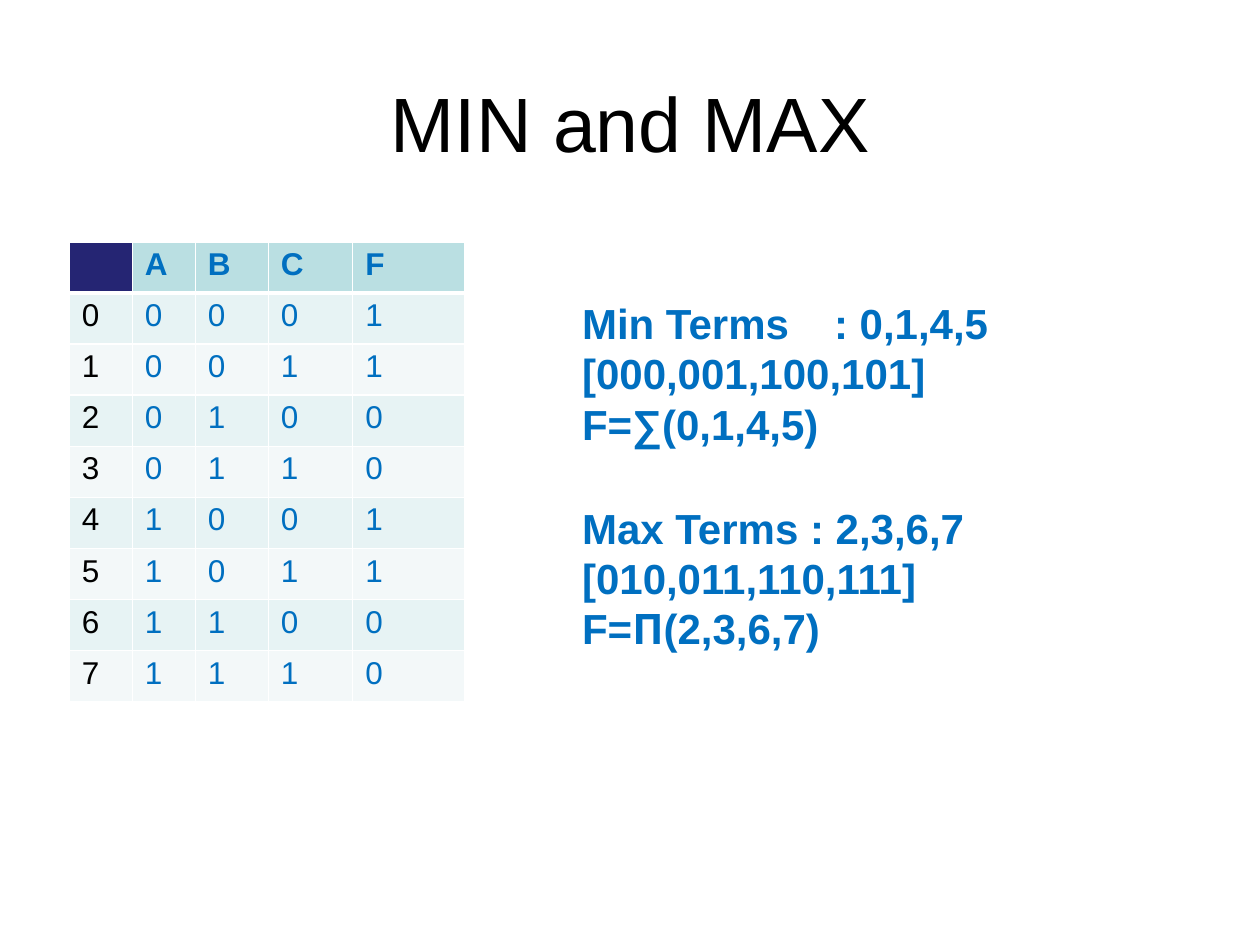
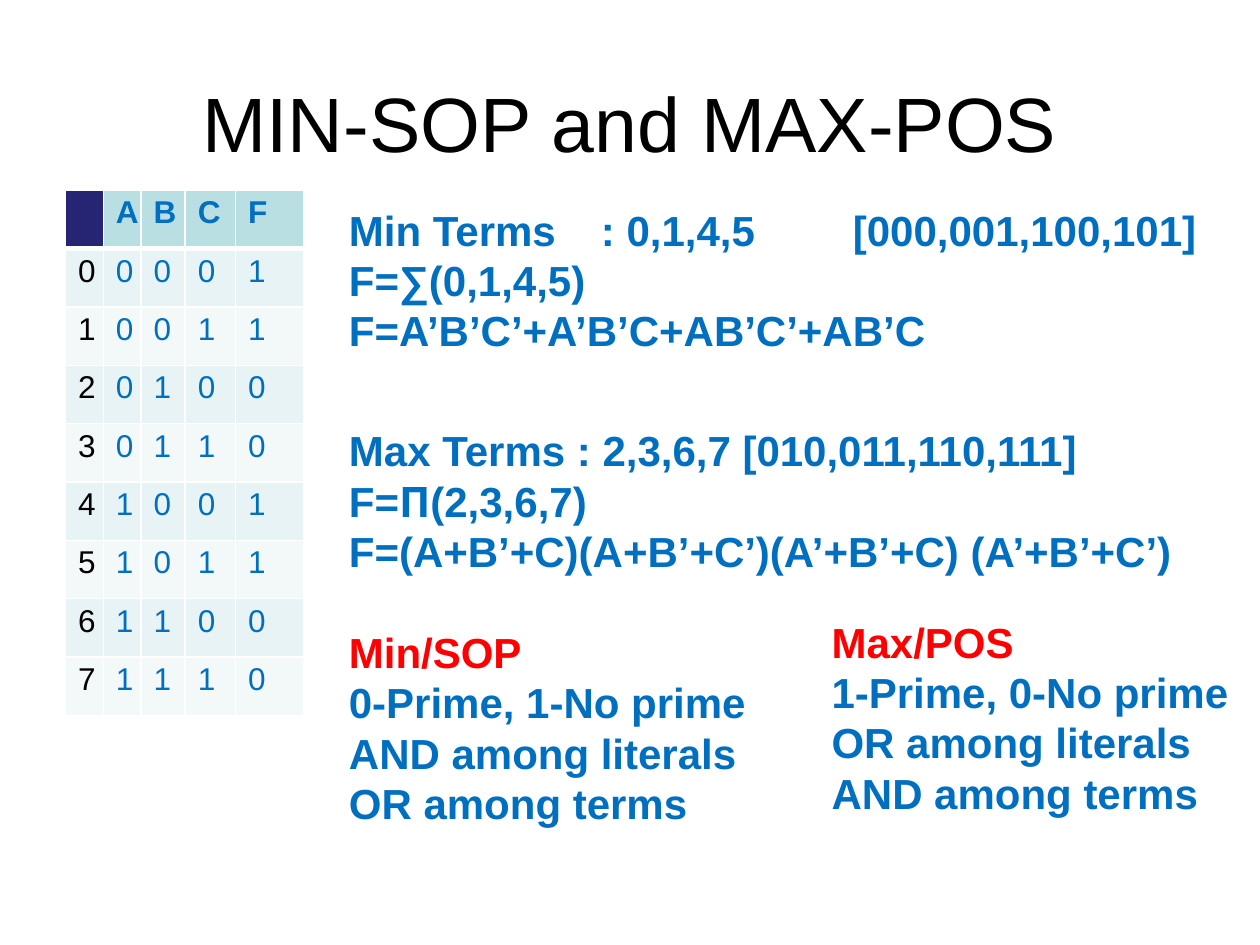
from dataclasses import dataclass
from typing import Any

from lxml import etree
from pptx import Presentation
from pptx import util as u
from pptx.dml.color import RGBColor
from pptx.enum import text
from pptx.oxml import ns

SLIDE_WIDTH, SLIDE_HEIGHT = u.Inches(10), u.Inches(7.5)
COLUMN, ROW = SLIDE_WIDTH / 100, SLIDE_HEIGHT / 75

BLACK = RGBColor(0x00, 0x00, 0x00)
BLUE = RGBColor(0x00, 0x6F, 0xC0)
RED = RGBColor(0xFF, 0x00, 0x00)
WHITE = RGBColor(0xFF, 0xFF, 0xFF)
NAVY = RGBColor(0x25, 0x25, 0x73)
HEADER_TEAL = RGBColor(0xBA, 0xDF, 0xE2)
BAND_FILLS = (RGBColor(0xE7, 0xF3, 0xF4), RGBColor(0xF3, 0xF8, 0xF9))

TITLE_FONT = {"name": "Arial", "size": u.Pt(44), "bold": False}
BODY_FONT = {"name": "Arial", "size": u.Pt(24), "bold": True}
HEADER_FONT = {"name": "Arial", "size": u.Pt(18), "bold": True}
DIGIT_FONT = HEADER_FONT | {"bold": False}
PRODUCT_SIGN = "Π"
SIGN_FONT = BODY_FONT | {"name": "Open Sans"}

TITLE_FRAME = {"margin_left": 0, "margin_right": 0, "margin_bottom": 0,
               "margin_top": u.Inches(0.07), "word_wrap": False}
BODY_FRAME = {"margin_left": u.Inches(0.01), "margin_right": 0, "margin_bottom": 0,
              "margin_top": u.Inches(0.04), "word_wrap": True}
INSET_FRAME = BODY_FRAME | {"margin_left": u.Inches(0.11), "margin_top": u.Inches(0.13)}
CELL_MARGINS = {"margin_left": u.Inches(0.1), "margin_right": 0, "margin_bottom": 0,
                "margin_top": u.Inches(0.04)}
BODY_PARAGRAPH = {"alignment": text.PP_ALIGN.LEFT, "line_spacing": u.Pt(28.8)}
TAB_STOPS = (u.Inches(2), u.Inches(4))

VARIABLES = ("A", "B", "C")
MINTERMS = {0, 1, 4, 5}
TERM_COUNT = 2 ** len(VARIABLES)


@dataclass(frozen=True)
class Area:
    left: float
    top: float
    width: float
    height: float

    def lengths(self) -> tuple[int, int, int, int]:
        return (int(self.left * COLUMN), int(self.top * ROW),
                int(self.width * COLUMN), int(self.height * ROW))


@dataclass(frozen=True)
class Line:
    words: str
    color: RGBColor = BLUE
    gap_before: float = 0


@dataclass(frozen=True)
class Notes:
    area: Area
    lines: tuple[Line, ...]
    frame: dict[str, Any]


@dataclass(frozen=True)
class TruthTable:
    area: Area
    widths: tuple[float, ...]


@dataclass(frozen=True)
class Page:
    title: str
    title_area: Area
    truth_table: TruthTable
    notes: tuple[Notes, ...]


PAGES = (
    Page(
        "MIN and MAX",
        Area(30.9, 5.3, 38.3, 7.6),
        TruthTable(Area(5.5, 19.2, 31.4, 36.5), (5, 5, 5.8, 6.7, 8.9)),
        (Notes(Area(46.1, 23.2, 46.2, 28.6), (
            Line("Min Terms\t: 0,1,4,5"),
            Line("[000,001,100,101]"),
            Line("F=∑(0,1,4,5)"),
            Line("Max Terms : 2,3,6,7", gap_before=30.6),
            Line("[010,011,110,111]"),
            Line("F=Π(2,3,6,7)"),
        ), BODY_FRAME),),
    ),
    Page(
        "MIN-SOP and MAX-POS",
        Area(15.9, 5.3, 68.2, 7.6),
        TruthTable(Area(5.2, 15.1, 18.9, 41.7), (3, 3, 3.5, 4, 5.4)),
        (
            Notes(Area(27.6, 15.8, 74.7, 50.2), (
                Line("Min Terms\t: 0,1,4,5\t[000,001,100,101]"),
                Line("F=∑(0,1,4,5)"),
                Line("F=A’B’C’+A’B’C+AB’C’+AB’C"),
                Line("Max Terms : 2,3,6,7 [010,011,110,111]", gap_before=39.8),
                Line("F=Π(2,3,6,7)"),
                Line("F=(A+B’+C)(A+B’+C’)(A’+B’+C) (A’+B’+C’)"),
                Line("Min/SOP", RED, 28.8),
                Line("0-Prime, 1-No prime"),
                Line("AND among literals"),
                Line("OR among terms"),
            ), BODY_FRAME),
            Notes(Area(64.9, 47.6, 35.1, 18.2), (
                Line("Max/POS", RED),
                Line("1-Prime, 0-No prime"),
                Line("OR among literals"),
                Line("AND among terms"),
            ), INSET_FRAME),
        ),
    ),
)


def apply(target: Any, values: dict[str, Any]) -> None:
    for name, value in values.items():
        setattr(target, name, value)


def add_run(paragraph: Any, words: str, font: dict[str, Any], color: RGBColor) -> None:
    run = paragraph.add_run()
    run.text = words
    apply(run.font, font)
    run.font.color.rgb = color


def add_frame(slide: Any, area: Area, values: dict[str, Any]) -> Any:
    frame = slide.shapes.add_textbox(*area.lengths()).text_frame
    apply(frame, values)
    return frame


def add_tab_stops(paragraph: Any) -> None:
    properties = paragraph._p.get_or_add_pPr()
    stops = etree.SubElement(properties, ns.qn("a:tabLst"))
    for position in TAB_STOPS:
        etree.SubElement(stops, ns.qn("a:tab"), pos=str(position), algn="l")


def draw_title(slide: Any, title: str, area: Area) -> None:
    paragraph = add_frame(slide, area, TITLE_FRAME).paragraphs[0]
    paragraph.alignment = text.PP_ALIGN.CENTER
    add_run(paragraph, title, TITLE_FONT, BLACK)


def draw_notes(slide: Any, notes: Notes) -> None:
    frame = add_frame(slide, notes.area, notes.frame)
    for index, line in enumerate(notes.lines):
        paragraph = frame.add_paragraph() if index else frame.paragraphs[0]
        apply(paragraph, BODY_PARAGRAPH | {"space_before": u.Pt(line.gap_before)})
        if "\t" in line.words:
            add_tab_stops(paragraph)
        for part in line.words.partition(PRODUCT_SIGN):
            if part:
                font = SIGN_FONT if part == PRODUCT_SIGN else BODY_FONT
                add_run(paragraph, part, font, line.color)


def set_borders(cell: Any, points: dict[str, int]) -> None:
    properties = cell._tc.get_or_add_tcPr()
    for index, (side, width) in enumerate(points.items()):
        border = etree.Element(ns.qn(f"a:{side}"), w=str(u.Pt(width)))
        fill = etree.SubElement(border, ns.qn("a:solidFill"))
        etree.SubElement(fill, ns.qn("a:srgbClr"), val=str(WHITE))
        properties.insert(index, border)


def truth_rows() -> list[list[str]]:
    header = ["", *VARIABLES, "F"]
    terms = [[str(term), *f"{term:0{len(VARIABLES)}b}", str(int(term in MINTERMS))]
             for term in range(TERM_COUNT)]
    return [header, *terms]


def draw_truth_table(slide: Any, truth_table: TruthTable) -> None:
    rows = truth_rows()
    area = truth_table.area
    grid = slide.shapes.add_table(len(rows), len(rows[0]), *area.lengths()).table
    for column, width in zip(grid.columns, truth_table.widths):
        column.width = int(width * COLUMN)
    for row_index, values in enumerate(rows):
        grid.rows[row_index].height = int(area.height * ROW / len(rows))
        is_header = row_index == 0
        for column_index, value in enumerate(values):
            cell = grid.cell(row_index, column_index)
            apply(cell, CELL_MARGINS)
            is_index = column_index == 0
            header_fill = NAVY if is_index else HEADER_TEAL
            cell.fill.solid()
            cell.fill.fore_color.rgb = header_fill if is_header else BAND_FILLS[(row_index - 1) % 2]
            set_borders(cell, {"lnL": 1, "lnR": 1,
                               "lnT": 3 if row_index == 1 else 1,
                               "lnB": 3 if is_header else 1})
            if value:
                add_run(cell.text_frame.paragraphs[0], value,
                        HEADER_FONT if is_header else DIGIT_FONT,
                        BLACK if is_index else BLUE)


def main() -> None:
    deck = Presentation()
    apply(deck, {"slide_width": SLIDE_WIDTH, "slide_height": SLIDE_HEIGHT})
    for page in PAGES:
        slide = deck.slides.add_slide(deck.slide_layouts[6])
        draw_title(slide, page.title, page.title_area)
        draw_truth_table(slide, page.truth_table)
        for notes in page.notes:
            draw_notes(slide, notes)
    deck.save("out.pptx")


if __name__ == "__main__":
    main()
